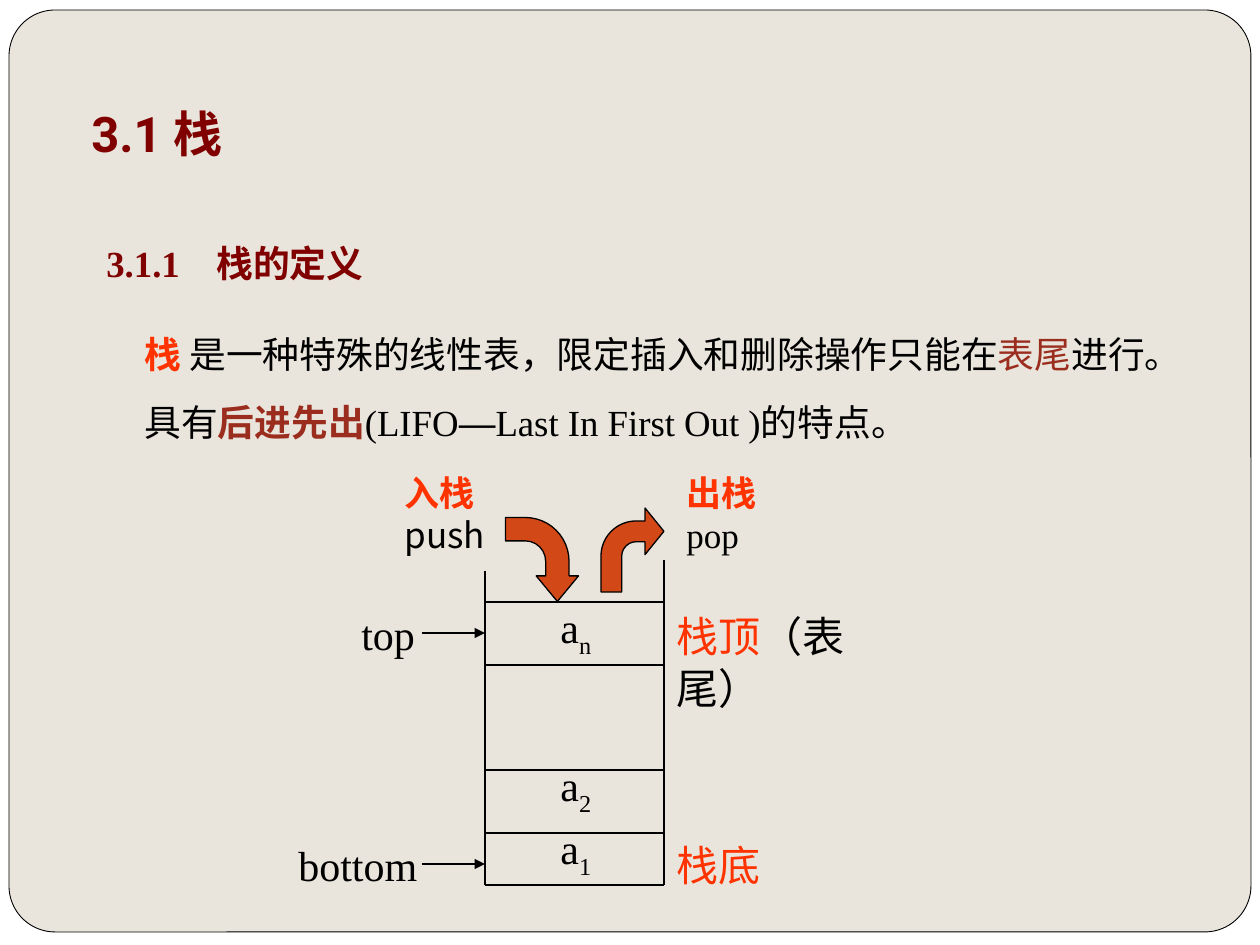
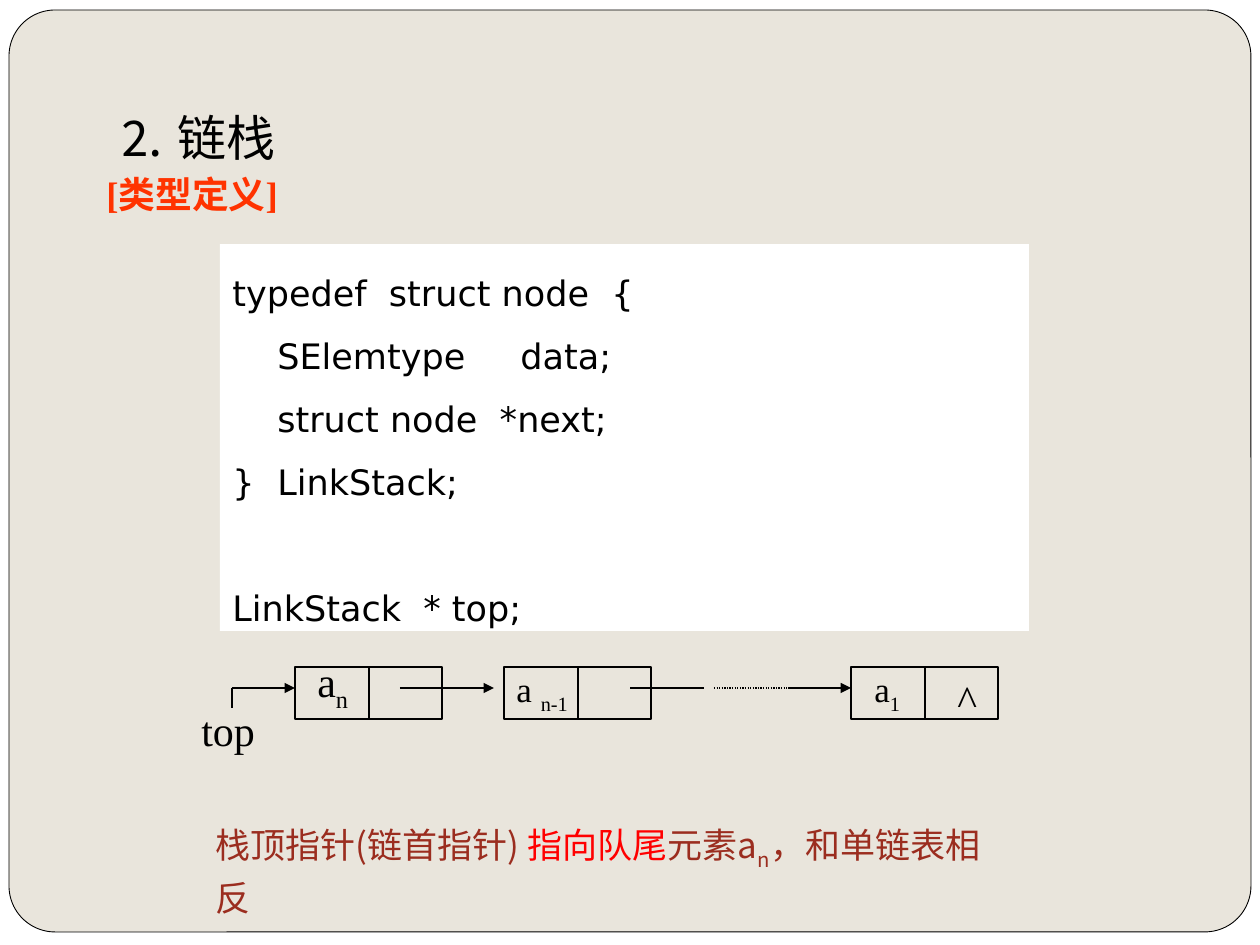
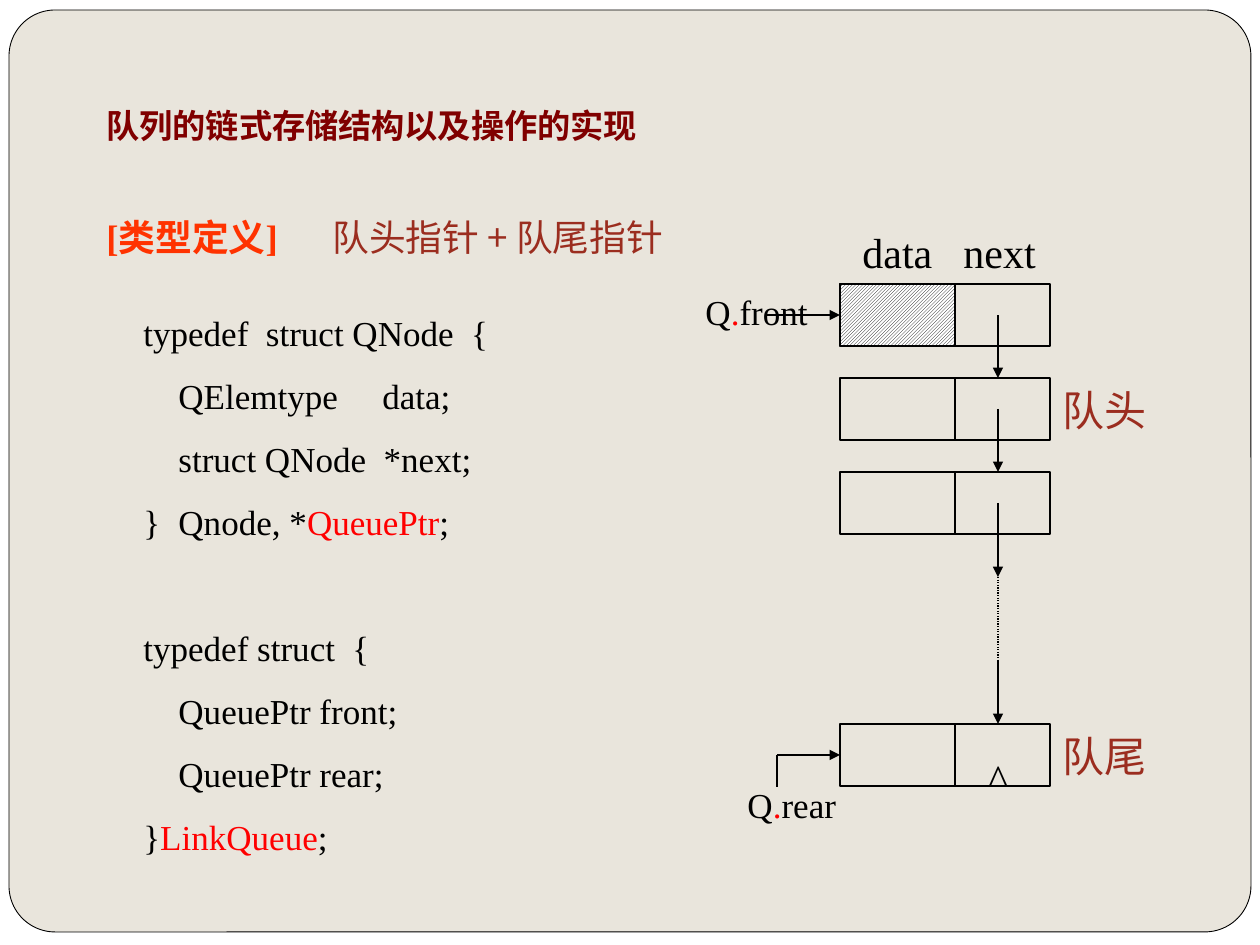
from dataclasses import dataclass

from lxml import etree
from pptx import Presentation, util as u
from pptx.dml.color import RGBColor
from pptx.enum import dml, shapes, text
from pptx.oxml import ns

PX = 914400 / 126
BLACK, WHITE, PAPER = "000000", "FFFFFF", "E9E5DC"
MAROON, BRICK, ORANGE, RED, RUST = "800000", "9B2D1F", "FF3300", "FF0000", "D34817"
SERIF, SANS, HEADING, CODE = "Times New Roman", "Noto Sans CJK SC", "Roboto", "DejaVu Sans"


def px(value):
    return u.Emu(round(value * PX))


def color(value):
    return RGBColor.from_string(value)


def add_child(parent, tag, **attributes):
    return etree.SubElement(parent, ns.qn(tag), attributes)


def colored(words, value, **style):
    """Return a span: its words and what differs from the box's style."""
    return words, dict(style, fill=value)


def sub(words, **style):
    return words, dict(style, sub=True)


@dataclass
class Para:
    spans: list
    indent: int = 0
    before: int = 0


class Lecture:
    def __init__(self):
        self.deck = Presentation()
        self.deck.slide_width, self.deck.slide_height = px(1260), px(945)
        background = self.deck.slide_master.background.fill
        background.solid()
        background.fore_color.rgb = color(WHITE)
        self.page = None

    def new_page(self):
        """Start a page with the rounded paper panel."""
        self.page = self.deck.slides.add_slide(self.deck.slide_layouts[6])
        panel = self.shape(9, 10, 1242, 922, shapes.MSO_SHAPE.ROUNDED_RECTANGLE, PAPER, 0.5)
        panel.adjustments[0] = 0.05

    def shape(self, left, top, width, height, kind=shapes.MSO_SHAPE.RECTANGLE,
              fill=None, weight=0.75):
        box = self.page.shapes.add_shape(kind, px(left), px(top), px(width), px(height))
        box.shadow.inherit = False
        if fill:
            box.fill.solid()
            box.fill.fore_color.rgb = color(fill)
        else:
            box.fill.background()
        box.line.color.rgb = color(BLACK)
        box.line.width = u.Pt(weight)
        return box

    def bent_arrow(self, left, top, width, height, adjustments, rotation=0):
        arrow = self.shape(left, top, width, height, shapes.MSO_SHAPE.BENT_ARROW, RUST)
        for index, value in enumerate(adjustments):
            arrow.adjustments[index] = value
        arrow.rotation = rotation

    def line(self, x1, y1, x2, y2, arrow=False, dotted=False, target=None):
        """Draw a line; a target is joined at the middle of its left side."""
        connector = self.page.shapes.add_connector(
            shapes.MSO_CONNECTOR.STRAIGHT, px(x1), px(y1), px(x2), px(y2))
        if target is not None:
            connector.end_connect(target, 1)
        connector.line.color.rgb = color(BLACK)
        connector.line.width = u.Pt(0.75)
        if dotted:
            connector.line.dash_style = dml.MSO_LINE.ROUND_DOT
        properties = connector._element.spPr
        if arrow:
            add_child(properties.find(ns.qn("a:ln")), "a:tailEnd", type="triangle")
        add_child(properties, "a:effectLst")

    def node(self, left, top, width, height, split):
        """Draw a list node divided into data and next."""
        box = self.shape(left, top, width, height)
        self.line(left + split, top, left + split, top + height)
        return box

    def text(self, left, top, width, height, paras, size=24, font=SERIF, fill=BLACK,
             bold=False, leading=None, anchor=text.MSO_ANCHOR.TOP, inset_bottom=6,
             tabs=(), panel=None):
        box = self.page.shapes.add_textbox(px(left), px(top), px(width), px(height))
        if panel:
            box.fill.solid()
            box.fill.fore_color.rgb = color(panel)
        frame = box.text_frame
        frame.word_wrap = True
        frame.vertical_anchor = anchor
        frame.margin_bottom = px(inset_bottom)
        for index, item in enumerate(paras):
            if not isinstance(item, Para):
                item = Para(item if isinstance(item, list) else [item])
            para = frame.add_paragraph() if index else frame.paragraphs[0]
            para.line_spacing = u.Pt(leading or round(size * 1.2))
            para.space_before = u.Pt(item.before)
            properties = para._p.get_or_add_pPr()
            if item.indent:
                properties.set("marL", str(px(item.indent)))
            if tabs:
                stops = add_child(properties, "a:tabLst")
                for stop in tabs:
                    add_child(stops, "a:tab", pos=str(px(stop)), algn="l")
            for piece in item.spans:
                words, changes = (piece, {}) if isinstance(piece, str) else piece
                style = dict(font=font, fill=fill, bold=bold) | changes
                self.span(para, words, size, **style)

    def span(self, para, words, size, font, fill, bold, sub=False):
        span = para.add_run()
        span.text = words
        span.font.size = u.Pt(size)
        span.font.bold = bold
        span.font.color.rgb = color(fill)
        span.font.name = font
        properties = span._r.get_or_add_rPr()
        add_child(properties, "a:ea", typeface=SANS)
        if sub:
            properties.set("baseline", "-25000")

    def title(self, left, top, width, height, words, size=28, font=HEADING,
              fill=MAROON, bold=True, inset_bottom=13):
        self.text(left, top, width, height, [words], size, font, fill, bold,
                  anchor=text.MSO_ANCHOR.BOTTOM, inset_bottom=inset_bottom)


def stack_definition(lecture):
    lecture.new_page()
    lecture.title(79, 42, 1102, 133, "3.1 栈")
    lecture.text(94, 210, 1071, 240, [
        [colored("3.1.1\t栈的定义", MAROON, bold=True)],
        Para([colored("栈", ORANGE, bold=True),
              " 是一种特殊的线性表，限定插入和删除操作只能在", colored("表尾", BRICK),
              "进行。具有", colored("后进先出", BRICK, bold=True), "(LIFO",
              ("—", {"font": "Arial"}), "Last In First Out )的特点。"],
             indent=38, before=13),
    ], size=21, leading=39, tabs=[110])

    left, right, bottom = 485, 664, 885
    lecture.line(left, 571, left, bottom)
    lecture.line(right, bottom, right, 560)
    for level in (bottom, 833, 770, 665, 602):
        lecture.line(left, level, right, level)
    for top, index in ((823, "1"), (760, "2"), (602, "n")):
        lecture.text(548, top, 116, 63, [["a", sub(index)]])

    lecture.text(right, 602, 262, 115, [[colored("栈顶", ORANGE), "（表尾）"]], leading=30)
    lecture.text(right, 833, 168, 63, [[colored("栈底", ORANGE)]])
    for label, x, top in (("bottom", 286, 833), ("top", 349, 602)):
        lecture.text(x, top, 162, 63, [label])
        lecture.line(422, top + 31, left, top + 31, arrow=True)

    for x, width, name, word, font in ((392, 125, "入栈", "push", SANS),
                                       (674, 105, "出栈", "pop", SERIF)):
        lecture.text(x, 465, width, 97, [[colored(name, ORANGE, bold=True)], word],
                     size=20, font=font)
    lecture.bent_arrow(500, 523, 84, 73, (0.32, 0.29, 0.35, 0.6), rotation=90)
    lecture.bent_arrow(601, 508, 63, 84, (0.33, 0.37, 0.3, 0.56))


def linked_stack(lecture):
    lecture.new_page()
    lecture.title(105, 106, 694, 66, "⒉ 链栈", font=SANS, fill=BLACK, bold=False,
                  inset_bottom=6)
    lecture.text(94, 166, 1071, 60, ["[类型定义]"], size=21, fill=ORANGE, bold=True)

    top, link = 667, 688
    for left in (295, 504, 851):
        lecture.node(left, top, 147, 52, 74)
    for x1, x2, arrow in ((400, 494, True), (630, 704, False),
                          (788, 851, True), (232, 295, True)):
        lecture.line(x1, link, x2, link, arrow)
    lecture.line(714, link, 809, link, dotted=True)
    lecture.line(232, link, 232, 708)
    lecture.text(189, 698, 116, 63, ["top"])
    lecture.text(945, top, 73, 63, ["^"])
    lecture.text(305, 656, 63, 63, [["a", sub("n")]])
    for left, width, name, index in ((862, 63, "a", "1"), (504, 95, "a ", "n-1")):
        lecture.text(left, top, width, 54, [[name, sub(index)]], size=20)

    lecture.text(220, 244, 809, 387, [
        "typedef  struct node  {",
        "\tSElemtype\tdata;",
        "\tstruct node  *next;",
        "}\tLinkStack;",
        Para(["LinkStack  * top;"], before=36),
    ], size=20, font=CODE, leading=36, tabs=[45, 288], panel=WHITE)
    lecture.text(203, 818, 815, 110, [
        ["栈顶指针(链首指针) ", colored("指向队尾", RED), "元素a", sub("n"), "，和单链表相反"],
    ], size=20, font=SANS, fill=BRICK, leading=27)


def linked_queue(lecture):
    lecture.new_page()
    lecture.title(94, 63, 1071, 95, "队列的链式存储结构以及操作的实现", size=19)
    lecture.text(94, 209, 700, 60, [
        [colored("[类型定义]", ORANGE, bold=True),
         colored("\t队头指针 + 队尾指针", BRICK, font=SANS)],
    ], size=21, tabs=[226])

    left, width, height, split, link = 840, 210, 62, 115, 998
    rows = dummy, head, second, rear = 284, 378, 472, 724
    nodes = [lecture.node(left, top, width, height, split) for top in rows]
    lecture.text(850, 220, 210, 63, ["data\tnext"], tabs=[101])
    for start, end in ((dummy + 31, head), (head + 31, second),
                       (second + 31, 577), (661, rear)):
        lecture.line(link, start, link, end, arrow=True)
    lecture.line(link, 577, link, 661, dotted=True)
    lecture.text(976, 746, 84, 63, ["^"])

    lecture.line(766, dummy + 31, left, dummy + 31, arrow=True, target=nodes[0])
    lecture.line(777, rear + 31, left, rear + 31, arrow=True, target=nodes[-1])
    lecture.line(777, rear + 31, 777, 787)
    for x, y, field in ((693, 284, "front"), (735, 777, "rear")):
        lecture.text(x, y, 147, 55, [["Q", colored(".", RED), field]], size=20)
    for y, label in ((head, "队头"), (rear, "队尾")):
        lecture.text(1050, y, 126, 63, [label], fill=BRICK)

    unused = lecture.shape(left, dummy, split, height)
    unused.fill.patterned()
    unused.fill.pattern = dml.MSO_PATTERN.LIGHT_UPWARD_DIAGONAL
    unused.fill.fore_color.rgb = color(BLACK)
    unused.fill.back_color.rgb = color(WHITE)

    lecture.text(131, 284, 488, 624, [
        "typedef  struct QNode  {",
        "\tQElemtype\tdata;",
        "\tstruct QNode  *next;",
        ["}\tQnode, *", colored("QueuePtr", RED), ";"],
        Para(["typedef struct  {"], before=36),
        "\tQueuePtr front;",
        "\tQueuePtr rear;",
        ["}", colored("LinkQueue", RED), ";"],
    ], size=20, leading=36, tabs=[35, 239])


def main():
    lecture = Lecture()
    stack_definition(lecture)
    linked_stack(lecture)
    linked_queue(lecture)
    lecture.deck.save("out.pptx")


if __name__ == "__main__":
    main()
